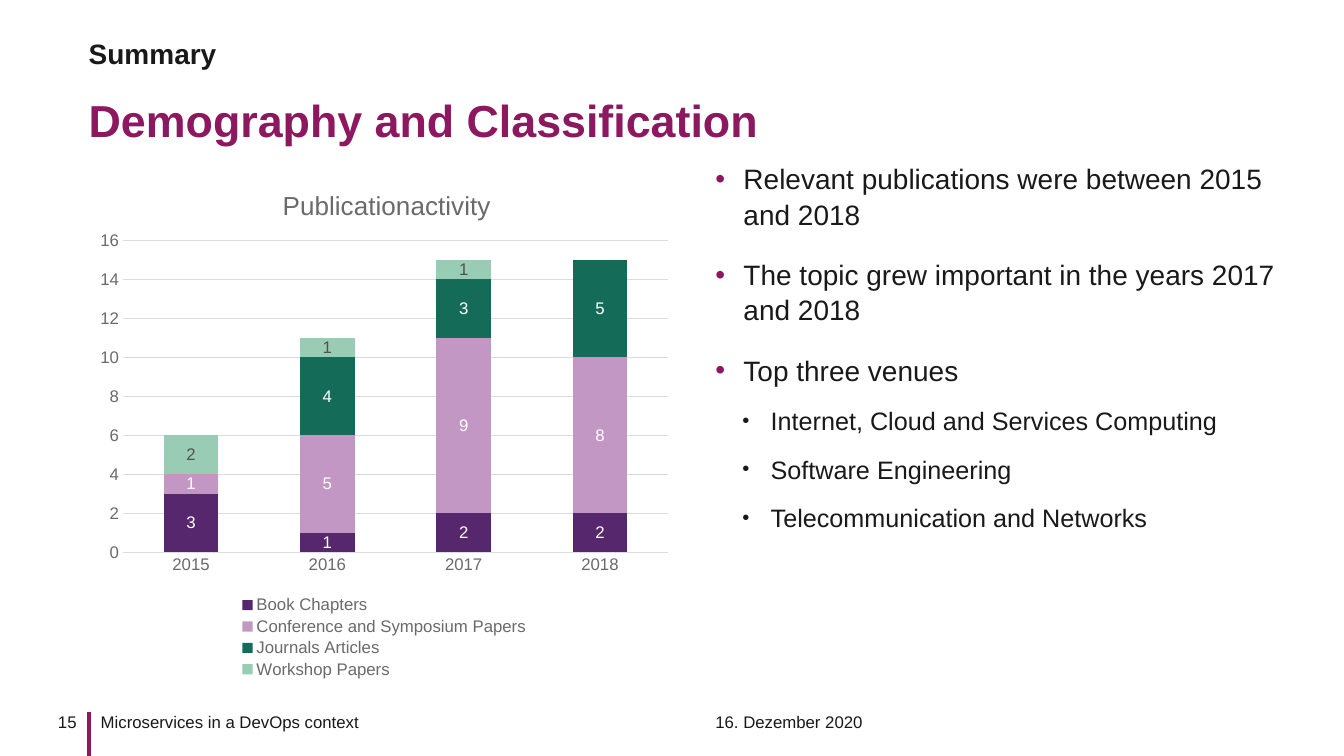
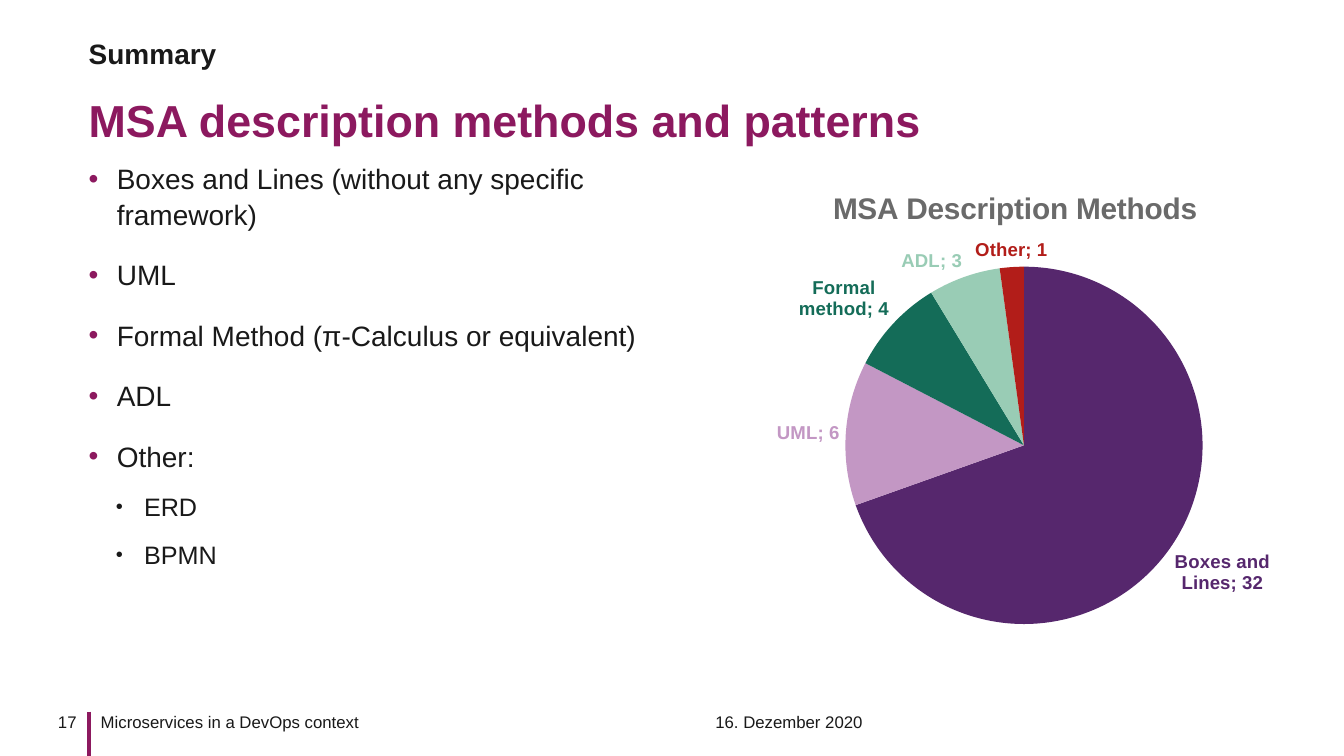
from lxml.etree import SubElement
from pptx import Presentation
from pptx.chart.data import CategoryChartData
from pptx.dml.color import RGBColor
from pptx.enum.chart import XL_CHART_TYPE, XL_LABEL_POSITION, XL_LEGEND_POSITION, XL_TICK_MARK
from pptx.enum.shapes import MSO_CONNECTOR
from pptx.enum.text import MSO_ANCHOR, PP_ALIGN
from pptx.oxml import parse_xml
from pptx.oxml.ns import nsdecls, qn
from pptx.util import Inches, Pt

COLORS = {name: RGBColor.from_string(value) for name, value in {
    "accent": "8C195F", "text": "191919", "chart_text": "6A6A6A", "grid": "DCDCDC",
    "white": "FFFFFF", "dark_label": "525252", "purple": "56276D", "lilac": "C397C4",
    "green": "146C58", "mint": "99CCB5", "red": "B21D19"}.items()}
FONT = "Arial"
LEFT, RIGHT, BODY_TOP = 0.88, 7.1, 1.59
COLUMN_WIDTH, BODY_HEIGHT, FULL_WIDTH = 5.87, 5.2, 12.09
FOOTER_TOP = 7.06

# Content: bullets are (level, text) pairs
SLIDES = [
    {"number": "15", "title": "Demography and Classification",
     "chart_left": LEFT, "text_left": RIGHT,
     "bullets": [(0, "Relevant publications were between 2015 and 2018"),
                 (0, "The topic grew important in the years 2017 and 2018"),
                 (0, "Top three venues"),
                 (1, "Internet, Cloud and Services Computing"),
                 (1, "Software Engineering"),
                 (1, "Telecommunication and Networks")],
     "chart_type": XL_CHART_TYPE.COLUMN_STACKED, "chart_title": "Publicationactivity",
     "title_size": 18.6, "title_bold": False, "title_spot": (0.32, 0.045),
     "plot_spot": (0.058, 0.153, 0.922, 0.595),
     "categories": ["2015", "2016", "2017", "2018"],
     "series": [("Book Chapters", (3, 1, 2, 2)),
                ("Conference and Symposium Papers", (1, 5, 9, 8)),
                ("Journals Articles", (0, 4, 3, 5)),
                ("Workshop Papers", (2, 1, 1, 0))]},
    {"number": "17", "title": "MSA description methods and patterns",
     "chart_left": RIGHT, "text_left": LEFT,
     "bullets": [(0, "Boxes and Lines (without any specific framework)"),
                 (0, "UML"),
                 (0, "Formal Method (π-Calculus or equivalent)"),
                 (0, "ADL"),
                 (0, "Other:"),
                 (1, "ERD"),
                 (1, "BPMN")],
     "chart_type": XL_CHART_TYPE.PIE, "chart_title": "MSA Description Methods",
     "title_size": 21.3, "title_bold": True, "title_spot": (0.19, 0.045),
     "plot_spot": (0.22, 0.203, 0.604, 0.682),
     "categories": ["Boxes and Lines", "UML", "Formal method", "ADL", "Other"],
     "series": [("MSA Description Methods", (32, 6, 4, 3, 1))]},
]
FILLS = ["purple", "lilac", "green", "mint", "red"]
LABEL_COLORS = ["white", "white", "white", "dark_label"]


def add_text(slide, box, lines, size, color="text", bold=False, anchor=MSO_ANCHOR.TOP,
             insets=(0, 0)):
    """Add a text box and return its paragraphs."""
    frame = slide.shapes.add_textbox(*[Inches(value) for value in box]).text_frame
    frame.word_wrap = True
    frame.vertical_anchor = anchor
    frame.margin_left, frame.margin_right = [Inches(value) for value in insets]
    frame.margin_top = frame.margin_bottom = 0
    frame.text = "\n".join(lines)
    for paragraph in frame.paragraphs:
        for run in paragraph.runs:
            run.font.name, run.font.size, run.font.bold = FONT, Pt(size), bold
            run.font.color.rgb = COLORS[color]
    return frame.paragraphs


def set_layout(element, index, spot, inner=False):
    """Place a chart part by fractions of the chart area."""
    for old_layout in element.findall(qn("c:layout")):
        element.remove(old_layout)
    layout = parse_xml(f"<c:layout {nsdecls('c')}><c:manualLayout/></c:layout>")
    settings = [("layoutTarget", "inner")] if inner else []
    settings += [("xMode", "edge"), ("yMode", "edge")]
    settings += zip("xywh", spot)
    for tag, value in settings:
        SubElement(layout[0], qn("c:" + tag)).set("val", str(value))
    element.insert(index, layout)


presentation = Presentation()
presentation.slide_width, presentation.slide_height = Inches(13.34), Inches(7.5)

for content in SLIDES:
    slide = presentation.slides.add_slide(presentation.slide_layouts[6])

    # Footer
    line = slide.shapes.add_connector(MSO_CONNECTOR.STRAIGHT, Inches(LEFT), Inches(FOOTER_TOP),
                                      Inches(LEFT), Inches(7.5))
    line.line.color.rgb, line.line.width = COLORS["accent"], Pt(3)
    SubElement(line._element.spPr, qn("a:effectLst"))
    add_text(slide, (RIGHT, FOOTER_TOP, 3.69, 0.2), ["16. Dezember 2020"], 12)
    add_text(slide, (LEFT, FOOTER_TOP, COLUMN_WIDTH, 0.36),
             ["Microservices in a DevOps context"], 12, insets=(0.12, 0))
    number = add_text(slide, (0.29, FOOTER_TOP, 0.59, 0.2), [content["number"]], 12,
                      insets=(0, 0.12))
    number[0].alignment = PP_ALIGN.RIGHT

    # Title and section
    title = add_text(slide, (LEFT, 0.76, FULL_WIDTH, 0.75), [content["title"]], 32, "accent",
                     True, MSO_ANCHOR.MIDDLE)
    title[0].line_spacing = 1.2
    add_text(slide, (LEFT, 0.37, FULL_WIDTH, 0.31), ["Summary"], 20, bold=True,
             anchor=MSO_ANCHOR.MIDDLE)

    # Bullets
    paragraphs = add_text(slide, (content["text_left"], BODY_TOP, COLUMN_WIDTH, BODY_HEIGHT),
                          [text for level, text in content["bullets"]], 20)
    for paragraph, (level, text) in zip(paragraphs, content["bullets"]):
        paragraph.level = level
        paragraph.line_spacing = 1.05
        paragraph.space_before = Pt((18, 12)[level])
        paragraph.runs[0].font.size = Pt((20, 18)[level])
        properties = paragraph._p.get_or_add_pPr()
        properties.set("marL", str(Inches((0.28, 0.55)[level])))
        properties.set("indent", str(Inches(-0.28)))
        bullet_color = SubElement(properties, qn("a:buClr"))
        SubElement(bullet_color, qn("a:srgbClr")).set(
            "val", str(COLORS[("accent", "text")[level]]))
        SubElement(properties, qn("a:buSzPct")).set("val", ("100000", "80000")[level])
        SubElement(properties, qn("a:buFont")).set("typeface", FONT)
        SubElement(properties, qn("a:buChar")).set("char", "•")

    # Chart and its title
    data = CategoryChartData()
    data.categories = content["categories"]
    for name, values in content["series"]:
        data.add_series(name, values)
    chart = slide.shapes.add_chart(
        content["chart_type"], Inches(content["chart_left"]), Inches(BODY_TOP),
        Inches(COLUMN_WIDTH), Inches(BODY_HEIGHT), data).chart
    chart.font.name, chart.font.size = FONT, Pt(12)
    chart.font.color.rgb = COLORS["chart_text"]
    chart.has_title = True
    chart.chart_title.text_frame.text = content["chart_title"]
    title_font = chart.chart_title.text_frame.paragraphs[0].runs[0].font
    title_font.name, title_font.size = FONT, Pt(content["title_size"])
    title_font.bold = content["title_bold"]
    title_font.color.rgb = COLORS["chart_text"]
    chart_element = chart._chartSpace.chart
    set_layout(chart_element.find(qn("c:title")), 1, content["title_spot"])
    set_layout(chart_element.plotArea, 0, content["plot_spot"], inner=True)
    plot = chart.plots[0]

    if content["chart_type"] == XL_CHART_TYPE.PIE:
        # Slices with labels in their own colour
        chart.has_legend = False
        for index, fill in enumerate(FILLS):
            point = plot.series[0].points[index]
            point.format.fill.solid()
            point.format.fill.fore_color.rgb = COLORS[fill]
            label = point.data_label
            label.font.name, label.font.size, label.font.bold = FONT, Pt(13.3), True
            label.font.color.rgb = COLORS[fill]
            label.position = XL_LABEL_POSITION.OUTSIDE_END
        for label_element in chart_element.xpath(".//c:dLbl"):
            label_element.find(qn("c:showCatName")).set("val", "1")
            SubElement(label_element, qn("c:separator")).text = "; "
    else:
        # Stacked columns; the number format hides zeros
        plot.gap_width, plot.overlap = 150, 100
        for series, fill, label_color in zip(plot.series, FILLS, LABEL_COLORS):
            series.format.fill.solid()
            series.format.fill.fore_color.rgb = COLORS[fill]
            labels = series.data_labels
            labels.show_value = True
            labels.number_format, labels.number_format_is_linked = '#""', False
            labels.position = XL_LABEL_POSITION.CENTER
            labels.font.name, labels.font.size = FONT, Pt(12)
            labels.font.color.rgb = COLORS[label_color]

        # Axes and legend
        for axis in (chart.category_axis, chart.value_axis):
            axis.major_tick_mark = axis.minor_tick_mark = XL_TICK_MARK.NONE
        value_axis = chart.value_axis
        value_axis.minimum_scale, value_axis.maximum_scale, value_axis.major_unit = 0, 16, 2
        value_axis.format.line.fill.background()
        for grid_line in (chart.category_axis.format.line,
                          value_axis.major_gridlines.format.line):
            grid_line.color.rgb, grid_line.width = COLORS["grid"], Pt(0.75)
        chart.has_legend = True
        chart.legend.position = XL_LEGEND_POSITION.BOTTOM
        chart.legend.include_in_layout = False
        set_layout(chart_element.find(qn("c:legend")), 1, (0.255, 0.825, 0.49, 0.17))

presentation.save("out.pptx")
